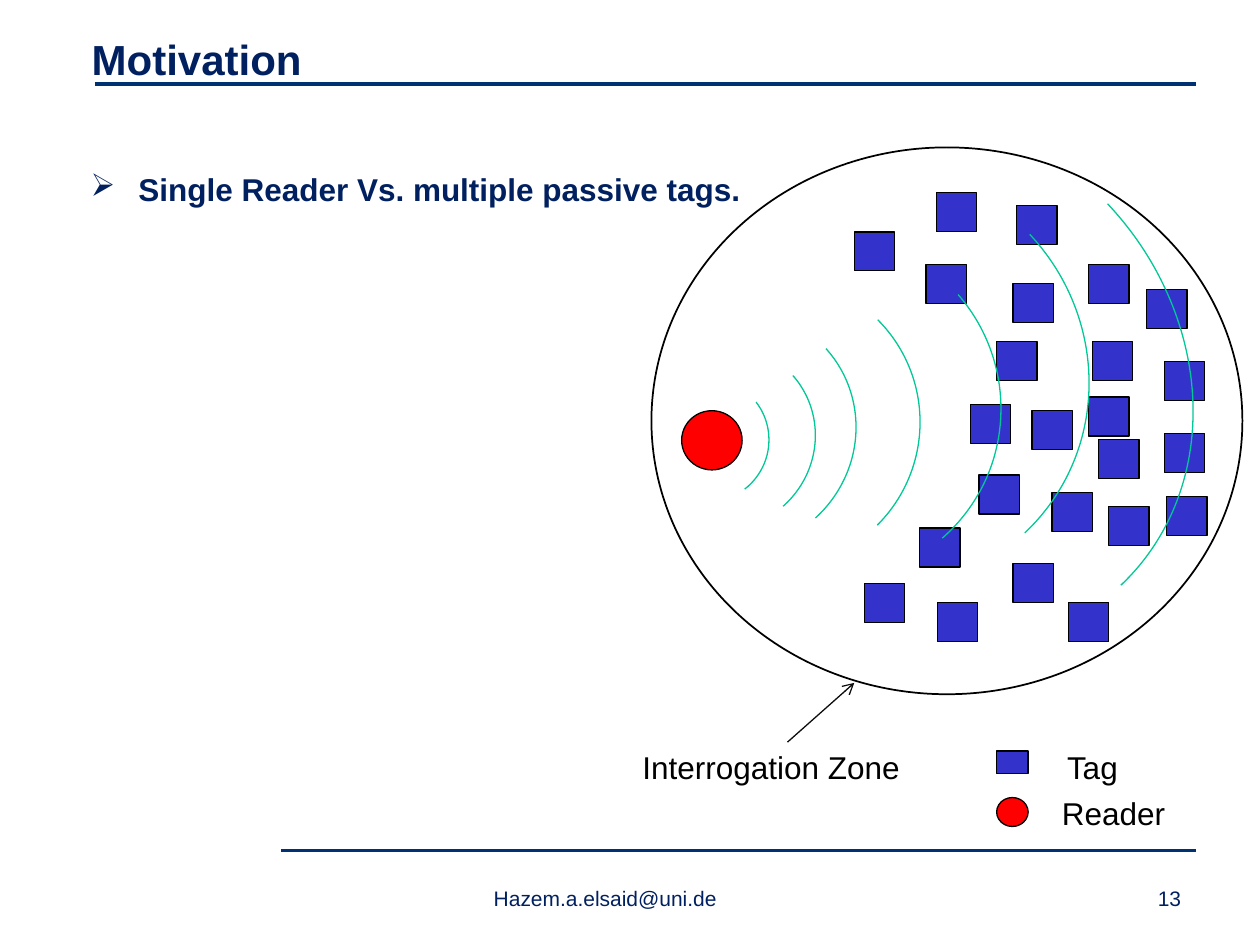
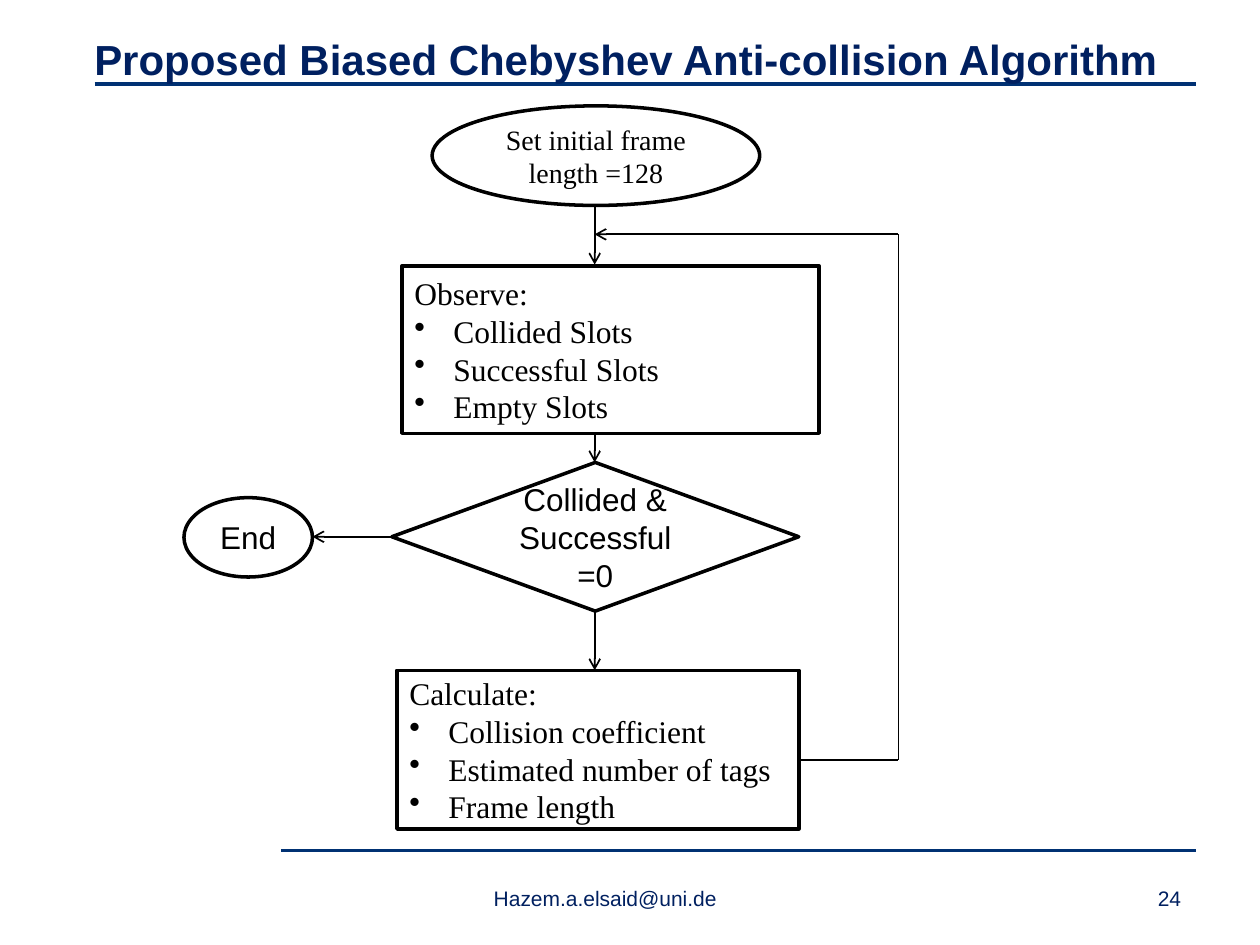
from typing import NamedTuple

from lxml import etree
from pptx import Presentation
from pptx.dml.color import RGBColor
from pptx.enum.shapes import MSO_CONNECTOR, MSO_SHAPE
from pptx.enum.text import MSO_ANCHOR, PP_ALIGN
from pptx.oxml.ns import qn
from pptx.util import Inches, Pt

OVAL = MSO_SHAPE.OVAL
RECT = MSO_SHAPE.RECTANGLE
DIAMOND = MSO_SHAPE.DIAMOND
ARC = MSO_SHAPE.ARC
STRAIGHT = MSO_CONNECTOR.STRAIGHT
LEFT, CENTER = PP_ALIGN.LEFT, PP_ALIGN.CENTER
TOP, MIDDLE = MSO_ANCHOR.TOP, MSO_ANCHOR.MIDDLE

NAVY, RULE, BLACK, INK = "002060", "003173", "000000", "0D0D0D"
BLUE, RED, GREEN = "3333CC", "FF0000", "00C896"
SANS, SERIF = "Arial", "Times New Roman"
MAIL = "Hazem.a.elsaid@uni.de"


class Box(NamedTuple):
    left: float
    top: float
    width: float
    height: float


class Font(NamedTuple):
    size: float = 18
    color: str = BLACK
    name: str = SANS
    bold: bool = False


class Wave(NamedTuple):
    box: Box
    turn: float


class Step(NamedTuple):
    kind: int
    box: Box
    lines: list[str]
    font: Font = Font()
    align: int = CENTER


class Link(NamedTuple):
    points: list[tuple[float, float]]


HEAD = Font(24, NAVY, bold=True)
POINT = Font(18, NAVY, bold=True)
SMALL = Font(12, NAVY)

# Tags, by left and top edge
TAG_W, TAG_H = 0.32, 0.31
TAGS = [
    (8.07, 1.63), (8.64, 2.1), (7.35, 2.1), (8.04, 2.25), (7.91, 2.71),
    (7.7, 3.21), (6.78, 1.84), (7.43, 1.53), (8.64, 3.15), (8.19, 3.26),
    (9.1, 2.3), (9.24, 2.87), (8.67, 2.71), (9.24, 3.44), (8.35, 3.91),
    (7.77, 3.77), (8.72, 3.49), (8.04, 4.47), (7.3, 4.19), (8.8, 4.02),
    (8.48, 4.78), (6.86, 4.63), (9.26, 3.94), (7.44, 4.78),
]

# Radio waves, from the reader outwards
WAVES = [
    Wave(Box(5.12, 3, 0.98, 0.99), 52.1),
    Wave(Box(5.01, 2.73, 1.45, 1.49), 48.5),
    Wave(Box(4.9, 2.45, 1.88, 1.93), 47.8),
    Wave(Box(5, 2.2, 2.3, 2.31), 45),
    Wave(Box(5.2, 1.87, 2.75, 2.73), 48.9),
    Wave(Box(5.27, 1.34, 3.4, 3.3), 46.8),
    Wave(Box(5.06, 0.99, 4.55, 4), 46.7),
]

# Flow chart; lines that start with a bullet become list items
STEPS = [
    Step(OVAL, Box(3.43, 0.84, 2.6, 0.79),
         ["Set initial frame length =128"], Font(16, name=SERIF)),
    Step(RECT, Box(3.19, 2.11, 3.31, 1.33),
         ["Observe:", "•Collided Slots", "•Successful Slots", "•Empty Slots"],
         Font(name=SERIF), LEFT),
    Step(DIAMOND, Box(3.11, 3.67, 3.23, 1.18), ["Collided & Successful =0"]),
    Step(RECT, Box(3.15, 5.32, 3.19, 1.26),
         ["Calculate:", "•Collision coefficient",
          "•Estimated number of tags", "•Frame length"],
         Font(name=SERIF), LEFT),
    Step(OVAL, Box(1.46, 3.95, 1.02, 0.63), ["End"]),
]
MID, LOOP = 4.72, 7.13
LINKS = [
    Link([(MID, 1.62), (MID, 2.1)]),
    Link([(MID, 3.44), (MID, 3.67)]),
    Link([(3.11, 4.26), (2.48, 4.26)]),
    Link([(MID, 4.85), (MID, 5.32)]),
    Link([(6.34, 6.03), (LOOP, 6.03), (LOOP, 1.86), (MID, 1.86)]),
]


def rgb(color: str) -> RGBColor:
    return RGBColor.from_string(color)


def set_bullet(para, mark: str, indent: float) -> None:
    props = para._p.get_or_add_pPr()
    props.set("marL", str(Inches(indent)))
    props.set("indent", str(-Inches(indent)))
    etree.SubElement(props, qn("a:buChar")).set("char", mark)


def write(frame, lines: list[str], font: Font, align=LEFT, anchor=TOP,
          indent: float = 0.31) -> None:
    frame.word_wrap = True
    frame.vertical_anchor = anchor
    frame.text = "\n".join(line.lstrip("•➢") for line in lines)
    for para, line in zip(frame.paragraphs, lines):
        para.alignment = align
        if line[0] in "•➢":
            set_bullet(para, line[0], indent)
        for run in para.runs:
            run.font.size = Pt(font.size)
            run.font.name = font.name
            run.font.bold = font.bold
            run.font.color.rgb = rgb(font.color)


def add_text(slide, box: Box, line: str, font: Font,
             indent: float = 0.31) -> None:
    area = slide.shapes.add_textbox(*map(Inches, box))
    write(area.text_frame, [line], font, indent=indent)


def add_form(slide, kind: int, box: Box, fill: str = "",
             line: str = BLACK, width: float = 0.75):
    form = slide.shapes.add_shape(kind, *map(Inches, box))
    form.shadow.inherit = False
    if fill:
        form.fill.solid()
        form.fill.fore_color.rgb = rgb(fill)
    else:
        form.fill.background()
    form.line.color.rgb = rgb(line)
    form.line.width = Pt(width)
    return form


def add_line(slide, start: tuple[float, float], end: tuple[float, float],
             color: str, width: float, arrow: bool = False) -> None:
    line = slide.shapes.add_connector(STRAIGHT, *map(Inches, start + end))
    line.line.color.rgb = rgb(color)
    line.line.width = Pt(width)
    if arrow:
        tail = etree.SubElement(line.line._get_or_add_ln(), qn("a:tailEnd"))
        tail.set("type", "arrow")
    etree.SubElement(line._element.spPr, qn("a:effectLst"))


def add_page(deck, title: str, left: float, number: int):
    """Blank slide with the shared title, rules and footer."""
    slide = deck.slides.add_slide(deck.slide_layouts[6])
    add_line(slide, (0.75, 0.67), (9.49, 0.67), RULE, 2.25)
    add_line(slide, (2.23, 6.75), (9.49, 6.75), RULE, 2.25)
    add_text(slide, Box(left, 0.22, 9, 0.8), title, HEAD)
    add_text(slide, Box(3.82, 6.98, 3.78, 0.38), MAIL, SMALL)
    add_text(slide, Box(9.09, 6.98, 0.71, 0.3), str(number), SMALL)
    return slide


def draw_zone(deck) -> None:
    slide = add_page(deck, "Motivation", 0.63, 13)
    add_text(slide, Box(0.62, 1.3, 8.98, 0.5),
             "➢Single Reader Vs. multiple passive tags.", POINT, 0.38)

    # Zone with reader, tags and waves
    add_form(slide, OVAL, Box(5.17, 1.17, 4.69, 4.34), width=1)
    add_form(slide, OVAL, Box(5.41, 3.26, 0.48, 0.47), RED)
    for left, top in TAGS:
        add_form(slide, RECT, Box(left, top, TAG_W, TAG_H), BLUE)
    for wave in WAVES:
        add_form(slide, ARC, wave.box, line=GREEN).rotation = wave.turn

    # Labels and legend
    add_line(slide, (6.25, 5.89), (6.78, 5.42), INK, 0.75, True)
    add_text(slide, Box(5, 5.89, 2.61, 0.4), "Interrogation Zone", Font())
    add_form(slide, RECT, Box(7.91, 5.96, 0.25, 0.18), BLUE)
    add_text(slide, Box(8.37, 5.89, 1.21, 0.4), "Tag", Font())
    add_form(slide, OVAL, Box(7.91, 6.33, 0.25, 0.23), RED)
    add_text(slide, Box(8.33, 6.25, 1.08, 0.4), "Reader", Font())


def draw_flow(deck) -> None:
    slide = add_page(
        deck, "Proposed Biased Chebyshev Anti-collision Algorithm", 0.65, 24)
    for step in STEPS:
        form = add_form(slide, step.kind, step.box, width=2)
        write(form.text_frame, step.lines, step.font, step.align, MIDDLE)
    # Only the last leg of a link carries the arrowhead
    for link in LINKS:
        for start, end in zip(link.points, link.points[1:]):
            add_line(slide, start, end, BLACK, 1, end == link.points[-1])


def main() -> None:
    deck = Presentation()
    deck.slide_width, deck.slide_height = Inches(10), Inches(7.5)
    draw_zone(deck)
    draw_flow(deck)
    deck.save("out.pptx")


if __name__ == "__main__":
    main()
